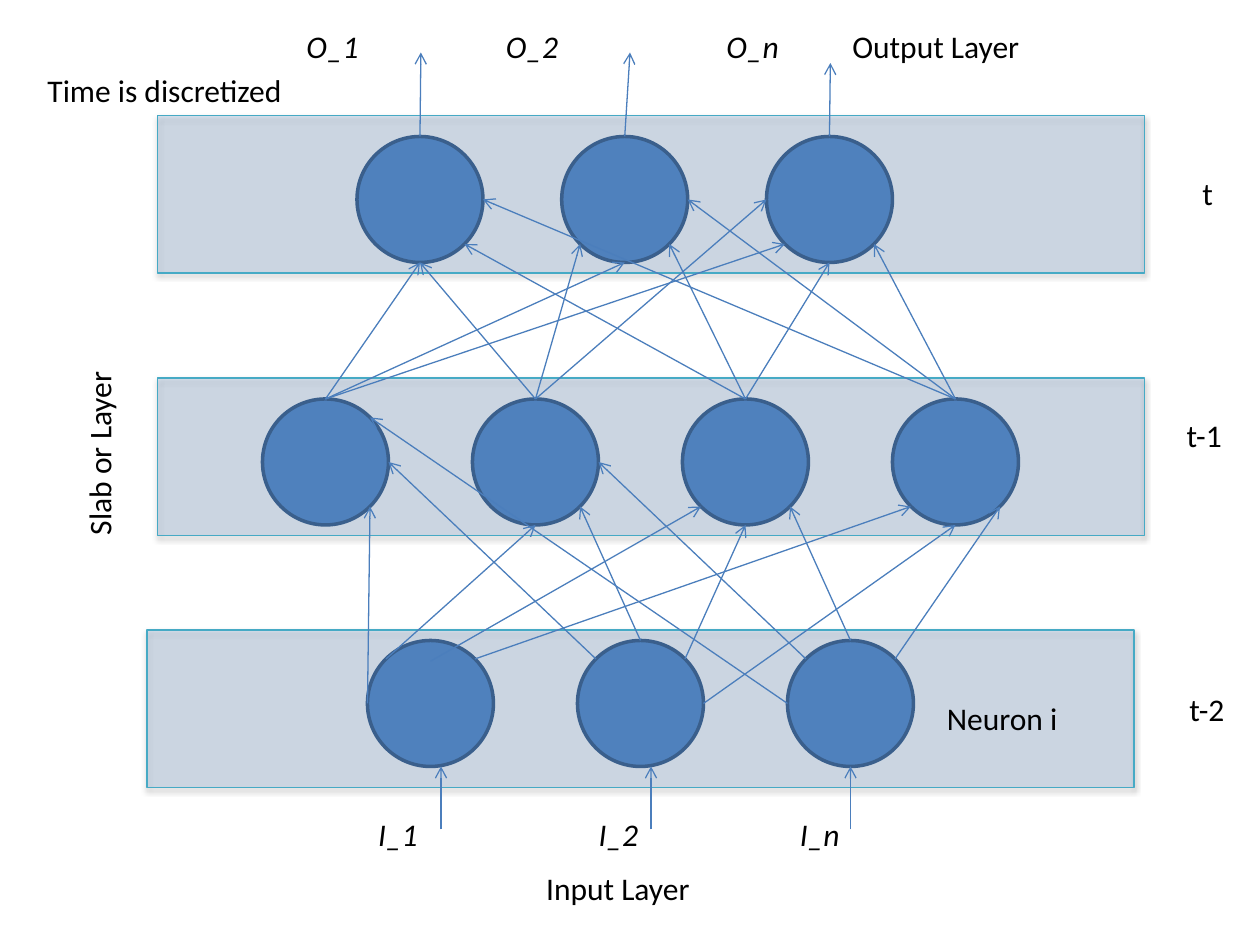
from math import sqrt

from lxml.etree import SubElement
from pptx import Presentation
from pptx.dml.color import RGBColor
from pptx.enum.shapes import MSO_CONNECTOR as Connector, MSO_SHAPE as Shape
from pptx.enum.text import MSO_AUTO_SIZE as AutoSize
from pptx.oxml.ns import qn
from pptx.util import Pt

COLORS = {
    "neuron": "4F81BD", "neuron line": "3A5F8C", "band line": "46AAC5",
    "arrow": "4B7EBC", "text": "000000", "shadow": "000000",
}
FONT = {"name": "Calibri", "size": Pt(18)}

DIAMETER = 72
BAND_SIZE = (564, 90)
BANDS = [(90, 66), (90, 216), (84, 360)]

# layer: (first left, top, step, count)
LAYERS = {
    "output": (204, 78, 117, 3),
    "hidden": (150, 228, 120, 4),
    "input": (210, 366, 120, 3),
}

# (neuron, site) to (neuron, site), numbered from the left
INPUT_TO_HIDDEN = [
    (0, "W", 0, "SE"), (1, "N", 1, "SE"), (2, "N", 2, "SE"), (2, "NE", 3, "SE"),
    (1, "E", 3, "S"), (0, "NE", 3, "SW"), (0, "inner N", 2, "SW"), (1, "NW", 0, "E"),
    (0, "NW", 1, "S"), (1, "NE", 2, "S"), (2, "NW", 1, "E"), (2, "W", 0, "NE"),
]
HIDDEN_TO_OUTPUT = [
    (0, "N", 1, "S"), (0, "N", 0, "S"), (0, "N", 2, "SW"),
    (1, "N", 2, "W"), (1, "N", 1, "SW"), (1, "N", 0, "S"),
    (2, "N", 2, "S"), (2, "N", 1, "SE"), (2, "N", 0, "SE"),
    (3, "N", 2, "SE"), (3, "N", 1, "E"), (3, "N", 0, "E"),
]
OUTPUT_TIPS = [(240.5, 30), (360, 30), (474.5, 36)]
INPUT_ARROWS_X = [252, 372, 486]
INPUT_ARROWS_Y = (474, 438)

# text, left, top, width, italic
SLAB_LABEL = ("Slab or Layer", 2.2, 244, 108.7, False)
LABELS = [
    ("Neuron i", 534, 396, 78.5, False),
    ("I_1", 209, 462, 37.4, True),
    ("I_2", 335, 462, 37.4, True),
    ("I_n", 450, 462, 37.4, True),
    ("Input Layer", 305, 493, 97.2, False),
    ("O_1", 168, 12, 44.6, True),
    ("O_2", 282, 12, 44.6, True),
    ("O_n", 408, 12, 44.6, True),
    ("Output Layer", 480, 12, 110.9, False),
    ("Time is discretized", 20, 37, 154, False),
    ("t-2", 672.5, 391, 35.3, False),
    ("t", 680, 96, 20.9, False),
    ("t-1", 671, 234, 35.3, False),
]
LABEL_HEIGHT = 29

DIAGONAL = sqrt(0.5)
SITES = {
    "N": (0, -1), "S": (0, 1), "W": (-1, 0), "E": (1, 0),
    "NW": (-DIAGONAL, -DIAGONAL), "NE": (DIAGONAL, -DIAGONAL),
    "SW": (-DIAGONAL, DIAGONAL), "SE": (DIAGONAL, DIAGONAL),
    "inner N": (0, -0.67),
}


def rgb(name):
    return RGBColor.from_string(COLORS[name])


def site_point(layer, index, site):
    """Point on a neuron's rim in the given compass direction."""
    left, top, step, _ = LAYERS[layer]
    radius = DIAMETER / 2
    dx, dy = SITES[site]
    return left + index * step + radius * (1 + dx), top + radius * (1 + dy)


def add_filled(slide, kind, box, line_color, line_width):
    shape = slide.shapes.add_shape(kind, *map(Pt, box))
    shape.shadow.inherit = False
    shape.fill.solid()
    shape.fill.fore_color.rgb = rgb("neuron")
    shape.line.color.rgb = rgb(line_color)
    shape.line.width = Pt(line_width)
    return shape


def add_band(slide, left, top):
    """Translucent rectangle with a soft shadow below it."""
    properties = add_filled(slide, Shape.RECTANGLE, (left, top, *BAND_SIZE),
                            "band line", 0.75)._element.spPr
    fill_color = properties.find(qn("a:solidFill")).find(qn("a:srgbClr"))
    SubElement(fill_color, qn("a:alpha"), val="20000")
    shadow = SubElement(properties.find(qn("a:effectLst")), qn("a:outerShdw"),
                        blurRad=str(Pt(3.1)), dist=str(Pt(1.6)),
                        dir="5400000", rotWithShape="0")
    shadow_color = SubElement(shadow, qn("a:srgbClr"), val=COLORS["shadow"])
    SubElement(shadow_color, qn("a:alpha"), val="38000")


def add_arrow(slide, start, end):
    arrow = slide.shapes.add_connector(Connector.STRAIGHT, *map(Pt, (*start, *end)))
    arrow.line.color.rgb = rgb("arrow")
    arrow.line.width = Pt(0.75)
    SubElement(arrow.line._get_or_add_ln(), qn("a:tailEnd"), type="arrow")
    SubElement(arrow._element.spPr, qn("a:effectLst"))


def add_label(slide, text, left, top, width, italic):
    label = slide.shapes.add_textbox(*map(Pt, (left, top, width, LABEL_HEIGHT)))
    frame = label.text_frame
    frame.word_wrap = False
    frame.auto_size = AutoSize.SHAPE_TO_FIT_TEXT
    run = frame.paragraphs[0].add_run()
    run.text = text
    for attribute, value in {**FONT, "italic": italic}.items():
        setattr(run.font, attribute, value)
    run.font.color.rgb = rgb("text")
    return label


def connect_layers(slide, source, target, links):
    for start, start_site, end, end_site in links:
        add_arrow(slide, site_point(source, start, start_site),
                  site_point(target, end, end_site))


def main():
    presentation = Presentation()
    presentation.slide_width, presentation.slide_height = Pt(720), Pt(540)
    slide = presentation.slides.add_slide(presentation.slide_layouts[6])

    for left, top in BANDS:
        add_band(slide, left, top)
    add_label(slide, *SLAB_LABEL).rotation = 270
    for left, top, step, count in LAYERS.values():
        for index in range(count):
            box = (left + index * step, top, DIAMETER, DIAMETER)
            add_filled(slide, Shape.OVAL, box, "neuron line", 2)

    connect_layers(slide, "input", "hidden", INPUT_TO_HIDDEN)
    for index, tip in enumerate(OUTPUT_TIPS):
        add_arrow(slide, site_point("output", index, "N"), tip)
    for x in INPUT_ARROWS_X:
        add_arrow(slide, *((x, y) for y in INPUT_ARROWS_Y))
    connect_layers(slide, "hidden", "output", HIDDEN_TO_OUTPUT)

    for label in LABELS:
        add_label(slide, *label)
    presentation.save("out.pptx")


if __name__ == "__main__":
    main()
